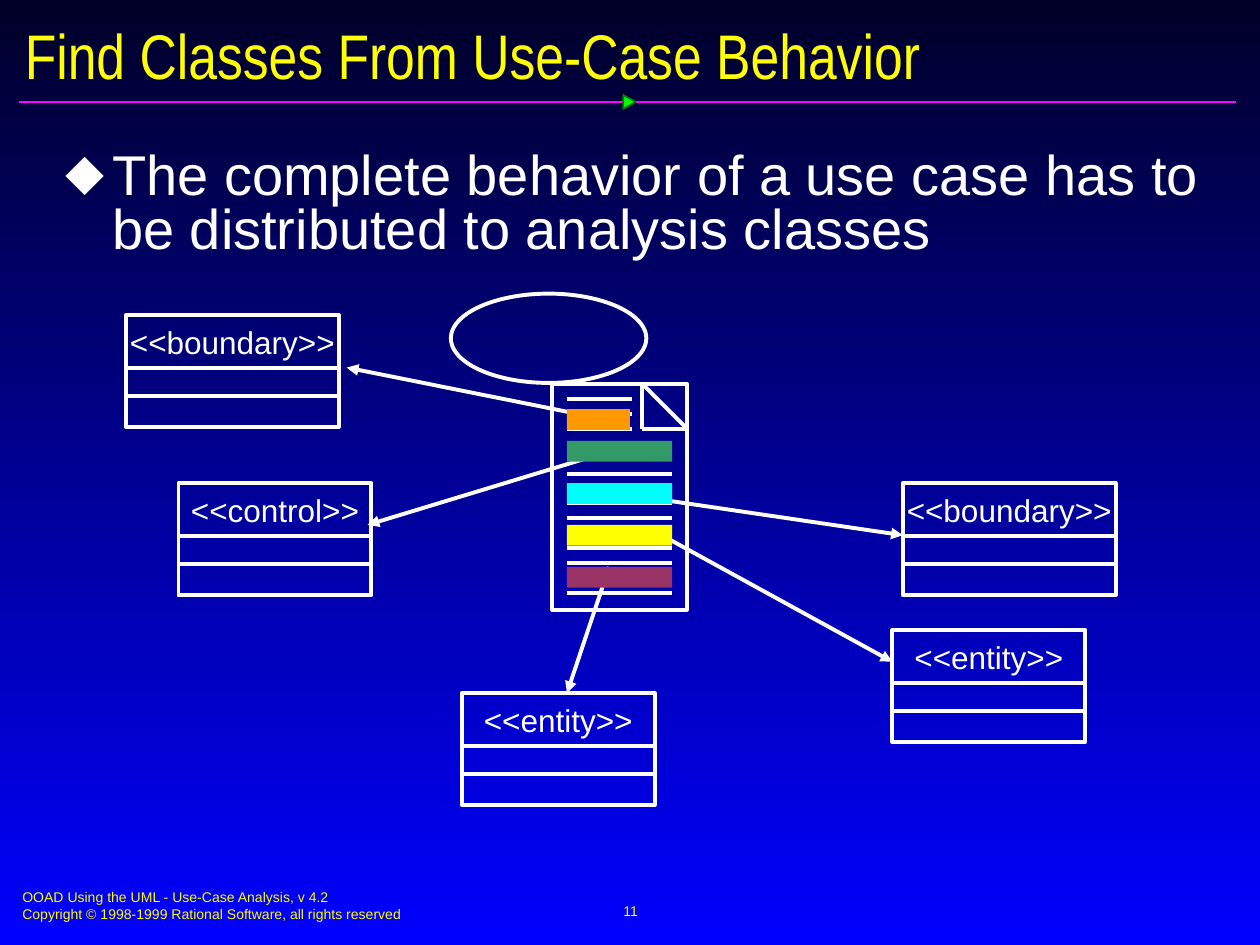
import dataclasses

import pptx
import pptx.dml.color
import pptx.enum.shapes
import pptx.enum.text
import pptx.oxml
import pptx.oxml.ns
import pptx.util
from pptx.util import Cm, Pt

SHAPES = pptx.enum.shapes.MSO_SHAPE
ALIGN = pptx.enum.text.PP_ALIGN
ANCHOR = pptx.enum.text.MSO_ANCHOR


@dataclasses.dataclass(frozen=True)
class Theme:
    white: str = "FFFFFF"
    yellow: str = "FFFF00"
    rule: str = "FF01FF"
    marker: str = "00FF00"
    marker_edge: str = "037C03"
    background: tuple = ("000028", "0000FF")
    title_font: str = "Arial Narrow"
    text_font: str = "Arial"
    title_size: int = 36
    body_size: int = 32
    label_size: int = 18
    footer_size: int = 8
    line_width: float = 2.25
    thin_width: float = 1


THEME = Theme()

CLASS_BOXES = [
    ("<<boundary>>", 2.54, 6.35, 4.29),
    ("<<boundary>>", 18.2, 9.74, 4.29),
    ("<<control>>", 3.6, 9.74, 3.89),
    ("<<entity>>", 9.31, 13.97, 3.89),
    ("<<entity>>", 17.99, 12.7, 3.89),
]
BEHAVIOR_ARROWS = [
    ((12.28, 8.47), (6.99, 7.41)),
    ((12.49, 9.95), (18.2, 10.79)),
    ((12.28, 11.43), (11.43, 13.97)),
    ((13.34, 10.79), (17.99, 13.34)),
    ((12.28, 9.1), (7.41, 10.58)),
]
HIGHLIGHTS = [
    (8.25, 1.27, "FF9900"),
    (8.89, 2.12, "339966"),
    (9.74, 2.12, "00FFFF"),
    (10.58, 2.12, "FFFF00"),
    (11.43, 2.12, "993366"),
]


def rgb(color):
    return pptx.dml.color.RGBColor.from_string(color)


def add_shape(slide, kind, left, top, width, height, fill=None, line=None,
              line_width=THEME.line_width):
    shape = slide.shapes.add_shape(kind, Cm(left), Cm(top), Cm(width), Cm(height))
    shape.shadow.inherit = False
    if fill:
        shape.fill.solid()
        shape.fill.fore_color.rgb = rgb(fill)
    else:
        shape.fill.background()
    if line:
        shape.line.color.rgb = rgb(line)
        shape.line.width = Pt(line_width)
    else:
        shape.line.fill.background()
    return shape


def add_line(slide, start, end, color=THEME.white, width=THEME.line_width, arrow=False):
    connector = slide.shapes.add_connector(
        pptx.enum.shapes.MSO_CONNECTOR.STRAIGHT, *map(Cm, start + end))
    connector.line.color.rgb = rgb(color)
    connector.line.width = Pt(width)
    if arrow:
        add_element(connector.line._get_or_add_ln(), "a:tailEnd", type="triangle")
    add_element(connector._element.spPr, "a:effectLst")


def add_element(parent, tag, **attributes):
    element = pptx.oxml.parse_xml(f"<{tag} {pptx.oxml.ns.nsdecls('a')}/>")
    for name, value in attributes.items():
        element.set(name, value)
    parent.append(element)
    return element


def add_run(paragraph, text, size, color, font=THEME.text_font):
    run = paragraph.add_run()
    run.text = text
    run.font.name = font
    run.font.size = Pt(size)
    run.font.color.rgb = rgb(color)


def set_margins(frame, horizontal, vertical):
    frame.margin_left = frame.margin_right = Cm(horizontal)
    frame.margin_top = frame.margin_bottom = Cm(vertical)


def add_text(slide, left, top, width, height, lines, size, color,
             align=ALIGN.LEFT, anchor=ANCHOR.TOP, margins=(0.25, 0.13), wrap=True):
    frame = slide.shapes.add_textbox(Cm(left), Cm(top), Cm(width), Cm(height)).text_frame
    frame.word_wrap = wrap
    frame.vertical_anchor = anchor
    set_margins(frame, *margins)
    for index, line in enumerate(lines):
        paragraph = frame.add_paragraph() if index else frame.paragraphs[0]
        paragraph.alignment = align
        add_run(paragraph, line, size, color)


def place_placeholder(placeholder, left, top, width, height, margins, anchor):
    placeholder.left, placeholder.top = Cm(left), Cm(top)
    placeholder.width, placeholder.height = Cm(width), Cm(height)
    frame = placeholder.text_frame
    frame.auto_size = pptx.enum.text.MSO_AUTO_SIZE.NONE
    frame.word_wrap = True
    frame.vertical_anchor = anchor
    set_margins(frame, *margins)
    paragraph = frame.paragraphs[0]
    paragraph.alignment = ALIGN.LEFT
    paragraph.space_before = Pt(0)
    return paragraph


def fill_title(slide, text):
    paragraph = place_placeholder(slide.shapes.title, 0.25, 0.36, 25, 1.47,
                                  (0.25, 0.13), ANCHOR.MIDDLE)
    add_run(paragraph, text, THEME.title_size, THEME.yellow, THEME.title_font)


def fill_body(slide, text):
    paragraph = place_placeholder(slide.placeholders[1], 1.02, 2.92, 23.6, 14.02,
                                  (0.3, 0.15), ANCHOR.TOP)
    properties = paragraph._p.get_or_add_pPr()
    properties.set("marL", str(Cm(0.94)))
    properties.set("indent", str(-Cm(0.94)))
    add_element(add_element(properties, "a:buClr"), "a:srgbClr", val=THEME.white)
    add_element(properties, "a:buFont", typeface=THEME.text_font)
    add_element(properties, "a:buChar", char="⬥")
    paragraph.line_spacing = 0.8
    add_run(paragraph, text, THEME.body_size, THEME.white)


def set_background(slide):
    fill = slide.background.fill
    fill.gradient()
    fill.gradient_angle = 270
    for stop, color, position in zip(fill.gradient_stops, THEME.background, (0, 1)):
        stop.color.rgb = rgb(color)
        stop.position = position


def add_title_rule(slide):
    add_line(slide, (0.38, 2.06), (24.92, 2.06), THEME.rule, THEME.thin_width)
    marker = add_shape(slide, SHAPES.ISOSCELES_TRIANGLE, 12.55, 1.93, 0.28, 0.25,
                       THEME.marker, THEME.marker_edge, THEME.thin_width)
    marker.rotation = 90


def add_use_case(slide):
    add_shape(slide, SHAPES.OVAL, 9.09, 5.92, 3.94, 1.8, line=THEME.white)
    add_shape(slide, SHAPES.RECTANGLE, 11.13, 7.74, 2.72, 4.55, line=THEME.white)
    fold_top, fold_corner, fold_right = (12.95, 7.74), (12.95, 8.64), (13.85, 8.64)
    for start, end in ((fold_top, fold_right), (fold_top, fold_corner),
                       (fold_right, fold_corner)):
        add_line(slide, start, end)
    for row in range(14):
        top = 8.05 + 0.3 * row
        add_line(slide, (11.43, top), (12.75 if row < 3 else 13.54, top))


def add_class_box(slide, stereotype, left, top, width):
    add_shape(slide, SHAPES.RECTANGLE, left, top, width, 2.26, line=THEME.white)
    for offset in (1.07, 1.63):
        add_line(slide, (left, top + offset), (left + width, top + offset))
    add_text(slide, left, top + 0.16, width, 0.76, [stereotype], THEME.label_size,
             THEME.white, ALIGN.CENTER, margins=(0, 0), wrap=False)


def main():
    presentation = pptx.Presentation()
    presentation.slide_width, presentation.slide_height = Cm(25.4), Cm(19.05)
    slide = presentation.slides.add_slide(presentation.slide_layouts[1])
    set_background(slide)
    add_title_rule(slide)
    add_text(slide, 0.2, 17.78, 12.95, 0.94,
             ["OOAD Using the UML - Use-Case Analysis, v 4.2",
              "Copyright © 1998-1999 Rational Software, all rights reserved"],
             THEME.footer_size, THEME.yellow)
    add_text(slide, 8.69, 17.73, 8.05, 1.27, ["11"], THEME.footer_size, THEME.yellow,
             ALIGN.CENTER, ANCHOR.MIDDLE, wrap=False)
    add_use_case(slide)
    for start, end in BEHAVIOR_ARROWS:
        add_line(slide, start, end, arrow=True)
    for top, width, color in HIGHLIGHTS:
        add_shape(slide, SHAPES.RECTANGLE, 11.43, top, width, 0.42, fill=color)
    for class_box in CLASS_BOXES:
        add_class_box(slide, *class_box)
    fill_title(slide, "Find Classes From Use-Case Behavior")
    fill_body(slide, "The complete behavior of a use case has to be distributed to analysis classes")
    presentation.save("out.pptx")


if __name__ == "__main__":
    main()
